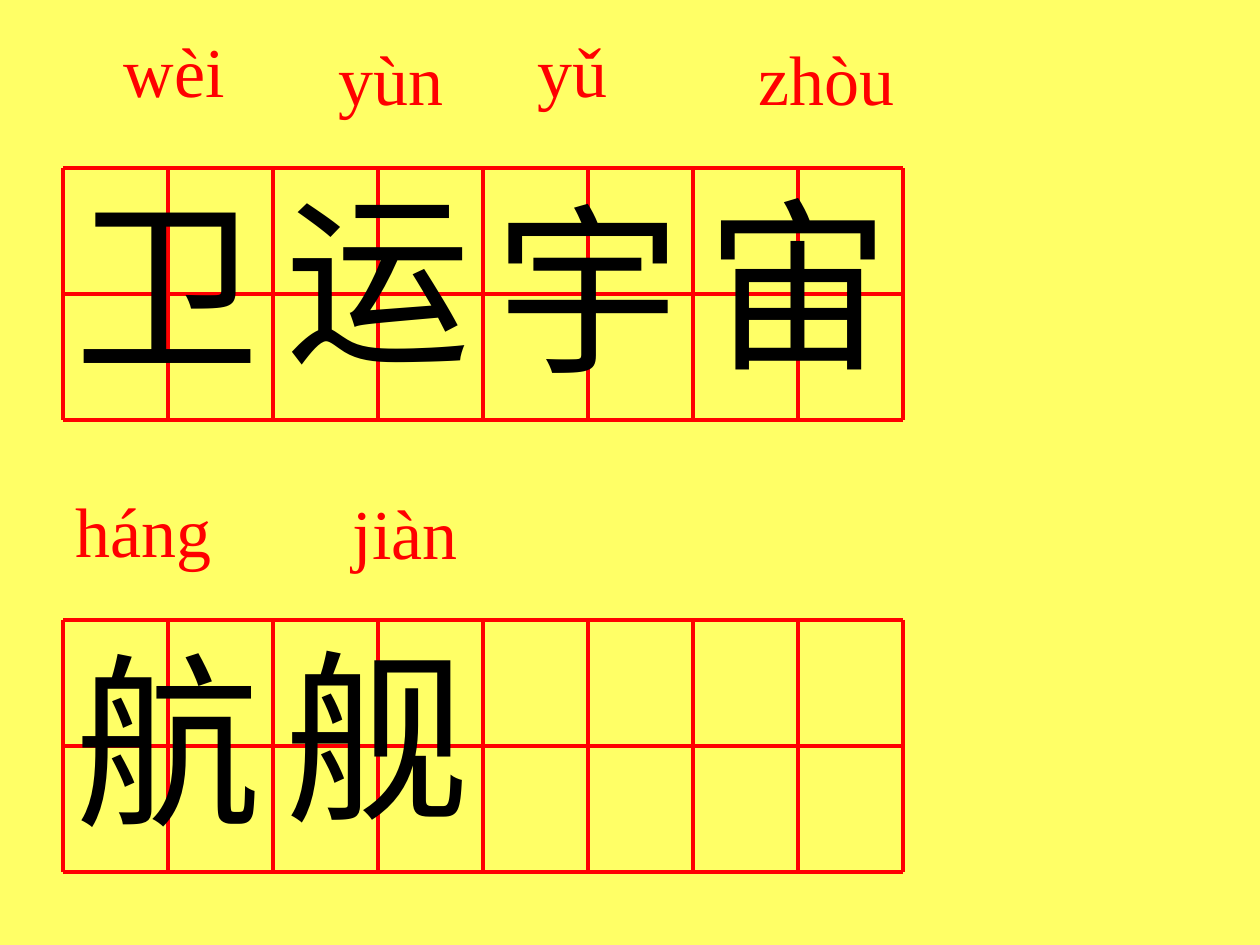
from pptx import Presentation
from pptx.dml.color import RGBColor
from pptx.enum import shapes, text
from pptx.oxml.ns import qn
from pptx.util import Cm, Pt
from lxml import etree

theme = {
    "paper": RGBColor(0xFF, 0xFF, 0x66),
    "grid": {"color": RGBColor(0xFF, 0, 0), "width": Pt(2.25)},
    "pinyin": {"name": "Times New Roman", "size": Pt(40), "color": RGBColor(0xFF, 0, 0)},
    "hanzi": {"name": "Times New Roman", "size": Pt(106), "color": RGBColor(0, 0, 0)},
}

grid_left, grid_width, grid_height = 1.27, 16.93, 5.08
columns, rows = 8, 2
grid_tops = [3.39, 12.49]

hanzi_size = (4.23, 4.76)
hanzi = [
    ("卫", 1.25, 3.31),
    ("运", 5.5, 3.18),
    ("宇", 9.74, 3.39),
    ("宙", 13.97, 3.31),
    ("航", 1.27, 12.5),
    ("舰", 5.49, 12.41),
]
pinyin_height = 1.95
pinyin = [
    ("wèi", 2.25, 0.44, 2.56),
    ("yùn", 6.58, 0.6, 2.64),
    ("yǔ", 10.58, 0.44, 2),
    ("zhòu", 15.04, 0.6, 3.27),
    ("háng", 1.27, 9.71, 3.27),
    ("jiàn", 6.86, 9.74, 2.64),
]


def add_grid_line(x1, y1, x2, y2):
    grid_line = slide.shapes.add_connector(
        shapes.MSO_CONNECTOR.STRAIGHT, Cm(x1), Cm(y1), Cm(x2), Cm(y2))
    grid_line.line.color.rgb = theme["grid"]["color"]
    grid_line.line.width = theme["grid"]["width"]
    etree.SubElement(grid_line._element.spPr, qn("a:effectLst"))


def add_label(words, left, top, width, height, style):
    label = slide.shapes.add_textbox(Cm(left), Cm(top), Cm(width), Cm(height))
    frame = label.text_frame
    frame.word_wrap = False
    frame.auto_size = text.MSO_AUTO_SIZE.SHAPE_TO_FIT_TEXT
    frame.text = words
    font = frame.paragraphs[0].runs[0].font
    for key in ("name", "size"):
        setattr(font, key, style[key])
    font.color.rgb = style["color"]


deck = Presentation()
deck.slide_width, deck.slide_height = Cm(25.4), Cm(19.05)
slide = deck.slides.add_slide(deck.slide_layouts[6])
slide.background.fill.solid()
slide.background.fill.fore_color.rgb = theme["paper"]

for grid_top in grid_tops:
    for row in range(rows + 1):
        y = grid_top + row * grid_height / rows
        add_grid_line(grid_left, y, grid_left + grid_width, y)
    for column in range(columns + 1):
        x = grid_left + column * grid_width / columns
        add_grid_line(x, grid_top, x, grid_top + grid_height)

for character, left, top in hanzi:
    add_label(character, left, top, *hanzi_size, theme["hanzi"])

for syllable, left, top, width in pinyin:
    add_label(syllable, left, top, width, pinyin_height, theme["pinyin"])

deck.save("out.pptx")
